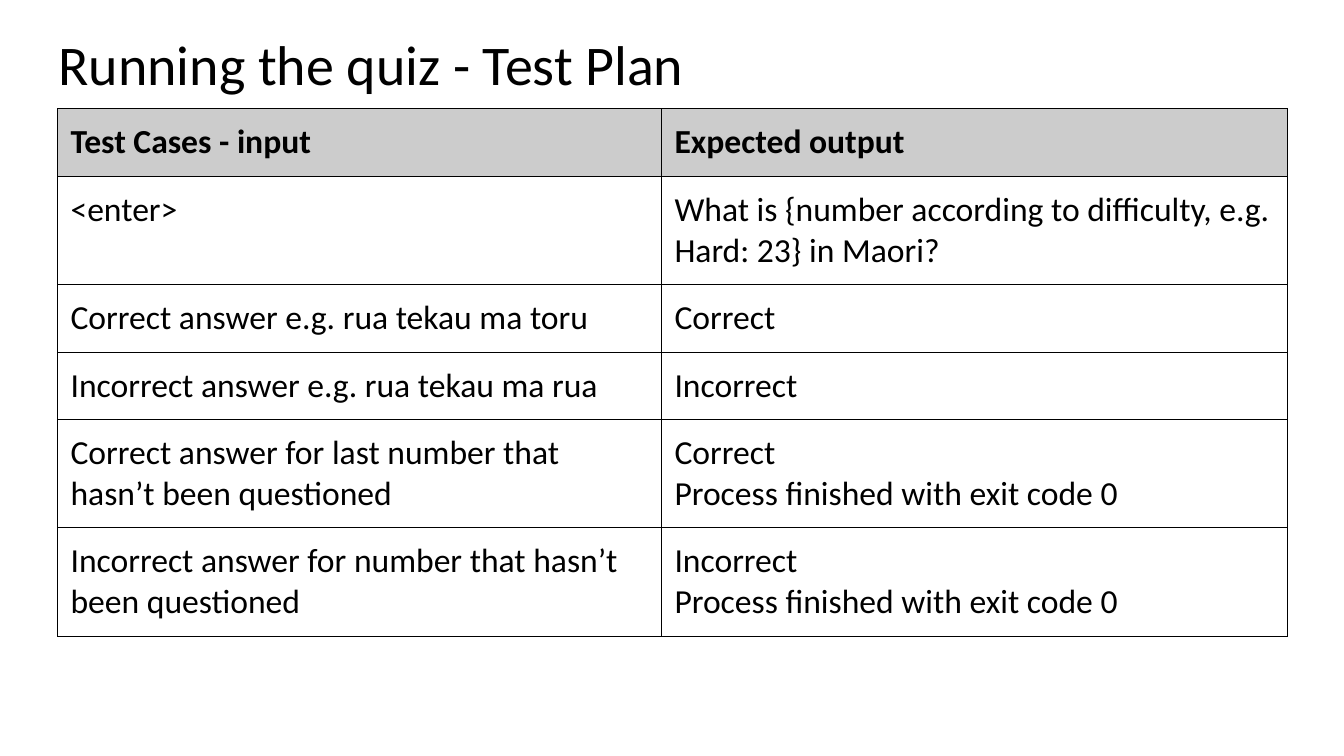
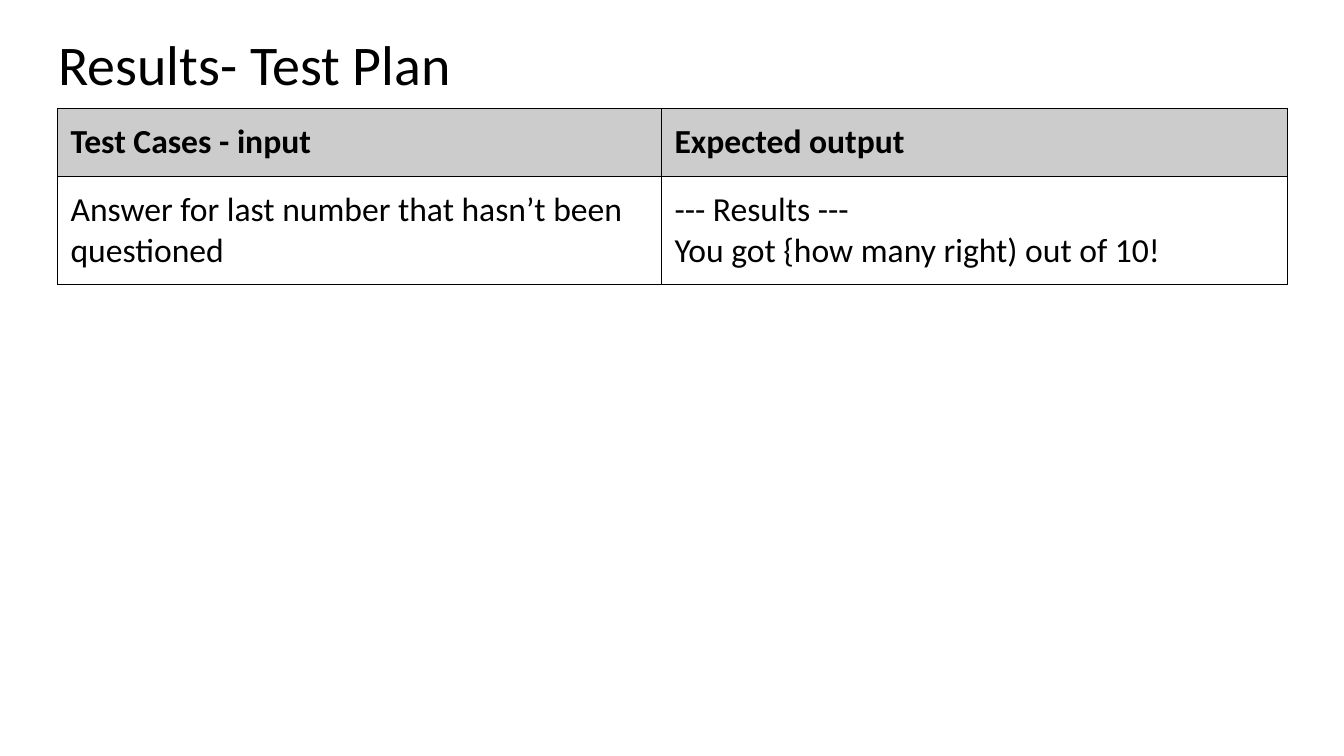
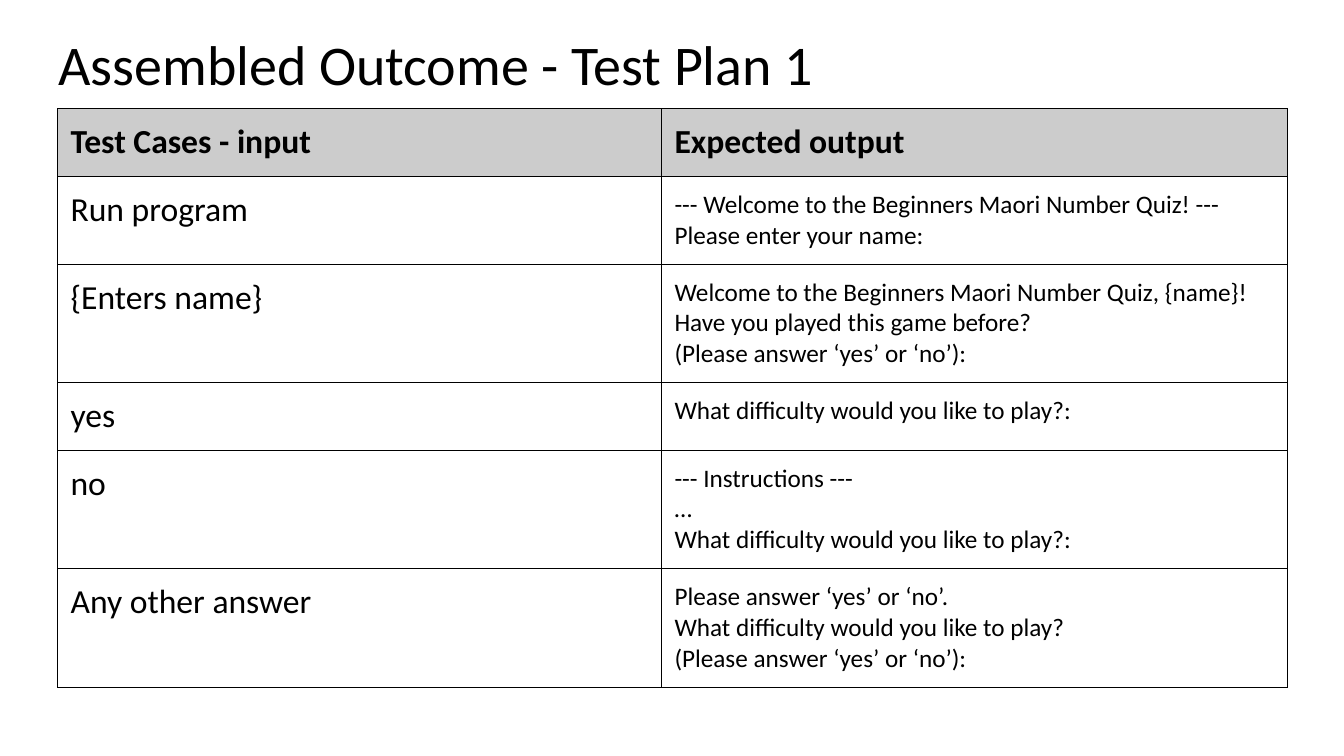
from lxml import etree
from pptx import Presentation
from pptx import util as u
from pptx.dml import color
from pptx.enum import text as t
from pptx.oxml import ns

FONT, BLACK, GREY = "Calibri", "000000", "CCCCCC"
HEAD = ("Test Cases - input", "Expected output")
COLS = (5.99, 6.21)
ROW = 0.67
PAD = 0.13


def rgb(code):
    return color.RGBColor.from_string(code)


def write(frame, words, size=24, bold=False, space=1.0, fill=BLACK):
    """Put text into a frame, one paragraph for each line."""
    frame.word_wrap = True
    frame.text = words
    for para in frame.paragraphs:
        para.alignment = t.PP_ALIGN.LEFT
        para.line_spacing = space
        for run in para.runs:
            font = run.font
            font.name, font.size, font.bold = FONT, u.Pt(size), bold
            font.color.rgb = rgb(fill)


def pad(box):
    """Give a cell or text frame the same margin on all sides."""
    for side in ("left", "top", "right", "bottom"):
        setattr(box, "margin_" + side, u.Inches(PAD))


def frame_cell(cell, width=0.75):
    """Draw black lines on the four sides of a cell."""
    props = cell._tc.get_or_add_tcPr()
    for side in ("lnL", "lnR", "lnT", "lnB"):
        line = etree.SubElement(props, ns.qn("a:" + side), w=str(u.Pt(width)))
        fill = etree.SubElement(line, ns.qn("a:solidFill"))
        etree.SubElement(fill, ns.qn("a:srgbClr"), val=BLACK)


class Deck:
    """Holds the presentation, its style and the current slide."""

    def __init__(self):
        self.prs = Presentation()
        self.prs.slide_width = u.Inches(13.33)
        self.prs.slide_height = u.Inches(7.5)
        self.slide = None

    def start(self, title):
        layout = self.prs.slide_layouts.get_by_name("Title Only")
        self.slide = self.prs.slides.add_slide(layout)
        box = self.slide.shapes.title
        box.left, box.top = u.Inches(0.45), u.Inches(0.24)
        box.width, box.height = u.Inches(12.42), u.Inches(0.84)
        frame = box.text_frame
        pad(frame)
        frame.auto_size = t.MSO_AUTO_SIZE.NONE
        frame.vertical_anchor = t.MSO_ANCHOR.TOP
        write(frame, title, size=40, space=0.9)

    def table(self, cases, size):
        """Add the test table; size is that of the expected output."""
        rows = [HEAD, *cases]
        grid = self.slide.shapes.add_table(
            len(rows), len(COLS), u.Inches(0.57), u.Inches(1.08),
            u.Inches(sum(COLS)), u.Inches(ROW * len(rows))).table
        grid.first_row = grid.horz_banding = False
        for col, width in zip(grid.columns, COLS):
            col.width = u.Inches(width)
        for r, row in enumerate(rows):
            for c, words in enumerate(row):
                self.cell(grid.cell(r, c), words, r == 0,
                          size if r and c else 24)

    def cell(self, cell, words, head, size):
        pad(cell)
        frame_cell(cell)
        if head:
            cell.fill.solid()
            cell.fill.fore_color.rgb = rgb(GREY)
        else:
            cell.fill.background()
        write(cell.text_frame, words, size=size, bold=head)


PLANS = [
    ("Running the quiz - Test Plan", 24, [
        ("<enter>",
         "What is {number according to difficulty, e.g. Hard: 23} in Maori?"),
        ("Correct answer e.g. rua tekau ma toru", "Correct"),
        ("Incorrect answer e.g. rua tekau ma rua", "Incorrect"),
        ("Correct answer for last number that hasn’t been questioned",
         "Correct\nProcess finished with exit code 0"),
        ("Incorrect answer for number that hasn’t been questioned",
         "Incorrect\nProcess finished with exit code 0"),
    ]),
    ("Results- Test Plan", 24, [
        ("Answer for last number that hasn’t been questioned",
         "--- Results ---\nYou got {how many right) out of 10!"),
    ]),
    ("Assembled Outcome - Test Plan 1", 18, [
        ("Run program",
         "--- Welcome to the Beginners Maori Number Quiz! ---\n"
         "Please enter your name:"),
        ("{Enters name}",
         "Welcome to the Beginners Maori Number Quiz, {name}!\n"
         "Have you played this game before?\n"
         "(Please answer ‘yes’ or ‘no’):"),
        ("yes", "What difficulty would you like to play?:"),
        ("no",
         "--- Instructions ---\n…\nWhat difficulty would you like to play?:"),
        ("Any other answer",
         "Please answer ‘yes’ or ‘no’.\n"
         "What difficulty would you like to play?\n"
         "(Please answer ‘yes’ or ‘no’):"),
    ]),
]


def main():
    deck = Deck()
    for title, size, cases in PLANS:
        deck.start(title)
        deck.table(cases, size)
    deck.prs.save("out.pptx")


if __name__ == "__main__":
    main()
